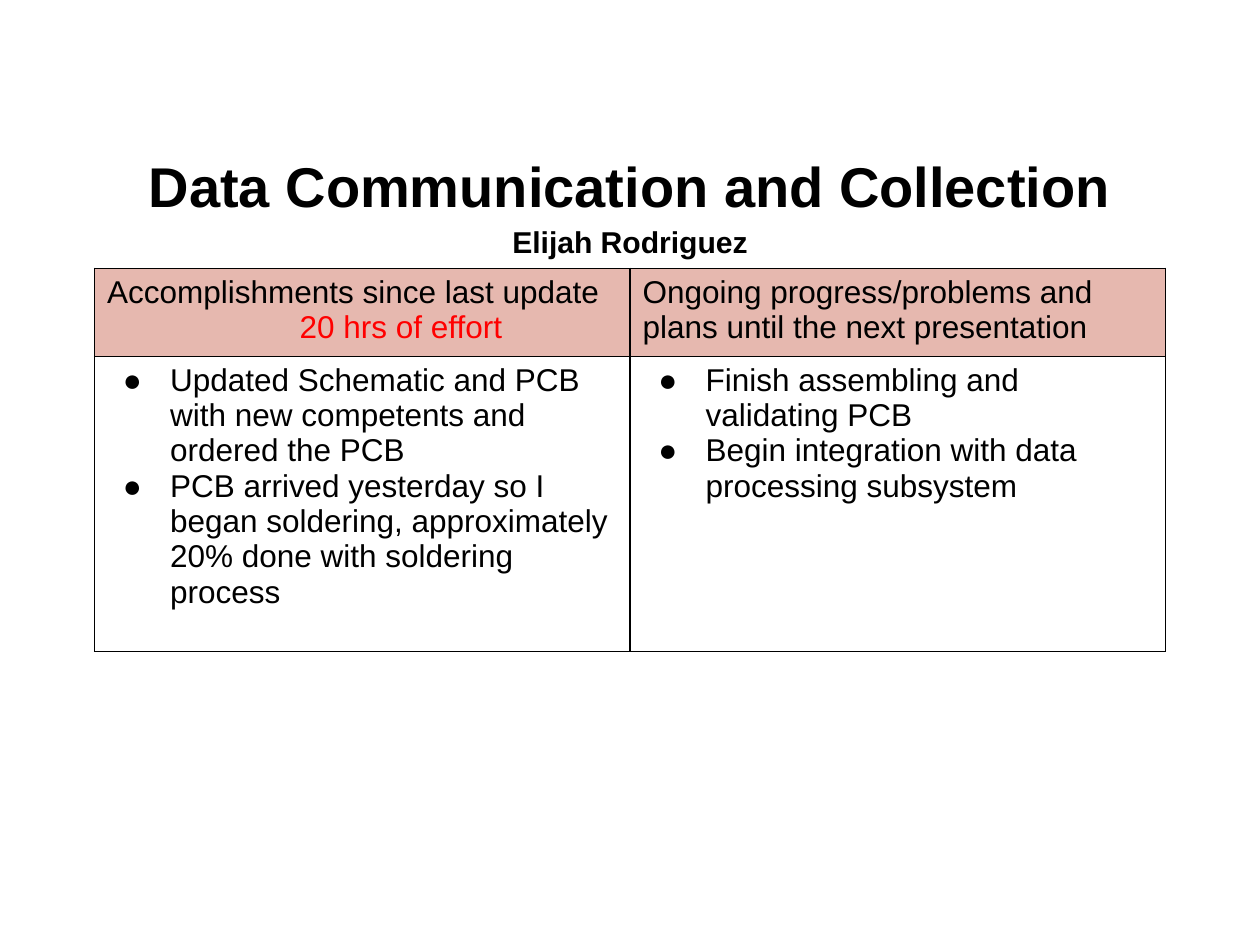
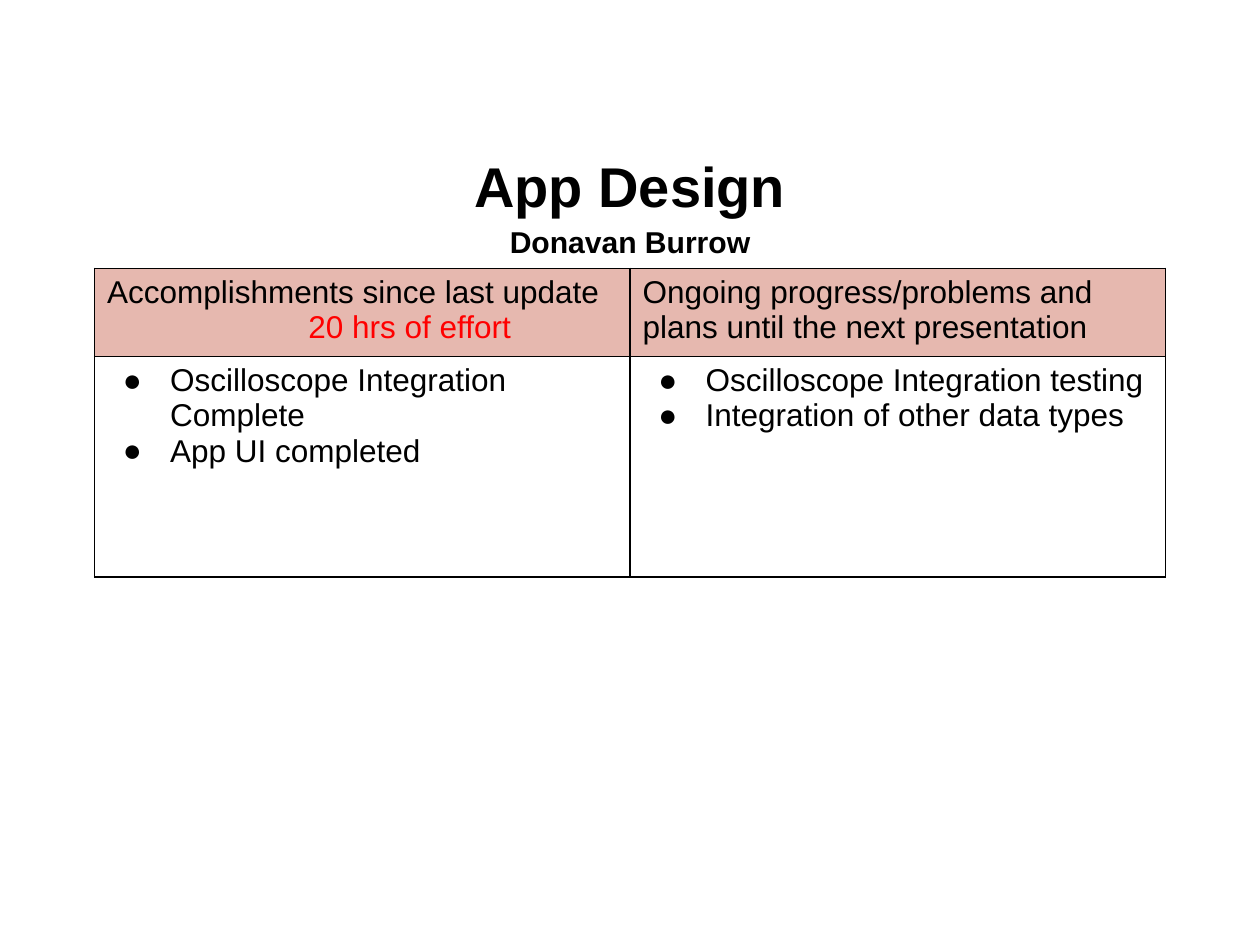
import dataclasses

import lxml.etree
import pptx
import pptx.dml.color
import pptx.enum.text
import pptx.oxml.ns
import pptx.util

Pt = pptx.util.Pt
FONT = "Arial"
BLACK = "000000"
RED = "FF0000"
HEADER_FILL = "E6B8AF"
TABLE_LEFT, TABLE_TOP, COLUMN_WIDTH = 54, 153.36, 306
BODY_SIZE = 18
DONE_HEADING = "Accomplishments since last update"
PLANS_HEADING = "Ongoing progress/problems and plans until the next presentation"


@dataclasses.dataclass(frozen=True)
class Update:
    title: str
    presenter: str
    effort: str
    effort_indent: float
    row_heights: tuple[float, float]
    done: tuple[str, ...]
    plans: tuple[str, ...]


UPDATES = (
    Update(
        title="Data Communication and Collection",
        presenter="Elijah Rodriguez",
        effort="20 hrs of effort",
        effort_indent=110,
        row_heights=(50.4, 168.5),
        done=(
            "Updated Schematic and PCB with new competents and ordered the PCB",
            "PCB arrived yesterday so I began soldering, approximately 20% done "
            "with soldering process",
        ),
        plans=(
            "Finish assembling and validating PCB",
            "Begin integration with data processing subsystem",
        ),
    ),
    Update(
        title="App Design",
        presenter="Donavan Burrow",
        effort="20 hrs of effort",
        effort_indent=115,
        row_heights=(47.5, 126),
        done=("Oscilloscope Integration Complete", "App UI completed"),
        plans=("Oscilloscope Integration testing", "Integration of other data types"),
    ),
)


def rgb(color: str) -> pptx.dml.color.RGBColor:
    return pptx.dml.color.RGBColor.from_string(color)


def add_xml(parent, tag: str, **attributes: str):
    return lxml.etree.SubElement(parent, pptx.oxml.ns.qn(tag), attributes)


def add_text(tf, text: str, *, size: float = BODY_SIZE, color: str = BLACK,
             bold: bool = False, centered: bool = False, spacing: float = 1,
             left: float = 0, hanging: float = 0, bullet: str = "") -> None:
    """Add a paragraph, using the frame's first one if it is still empty."""
    p = tf.paragraphs[0] if not tf.text else tf.add_paragraph()
    p.line_spacing = spacing
    if centered:
        p.alignment = pptx.enum.text.PP_ALIGN.CENTER
    pPr = p._p.get_or_add_pPr()
    pPr.set("marL", str(Pt(left)))
    pPr.set("indent", str(-Pt(hanging)))
    if bullet:
        add_xml(add_xml(pPr, "a:buClr"), "a:srgbClr", val=color)
        add_xml(pPr, "a:buFont", typeface=FONT)
        add_xml(pPr, "a:buChar", char=bullet)
    r = p.add_run()
    r.text = text
    r.font.name = FONT
    r.font.size = Pt(size)
    r.font.bold = bold
    r.font.color.rgb = rgb(color)


def set_margins(target) -> None:
    target.margin_left = target.margin_right = Pt(7.2)
    target.margin_top = target.margin_bottom = Pt(3.6)


def add_title(slide, update: Update) -> None:
    tf = slide.shapes.add_textbox(Pt(36), Pt(82.8), Pt(648), Pt(63.36)).text_frame
    tf.word_wrap = True
    tf.vertical_anchor = pptx.enum.text.MSO_ANCHOR.MIDDLE
    set_margins(tf)
    for text, size in ((update.title, 32), (update.presenter, 17.2)):
        add_text(tf, text, size=size, bold=True, centered=True, spacing=1.15)


def style_cell(cell, fill: str | None) -> None:
    set_margins(cell)
    tcPr = cell._tc.get_or_add_tcPr()
    for side in ("a:lnL", "a:lnR", "a:lnT", "a:lnB"):
        line = add_xml(tcPr, side, w=str(Pt(1)))
        add_xml(add_xml(line, "a:solidFill"), "a:srgbClr", val=BLACK)
    if fill:
        cell.fill.solid()
        cell.fill.fore_color.rgb = rgb(fill)
    else:
        cell.fill.background()


def add_update_table(slide, update: Update) -> None:
    table = slide.shapes.add_table(
        2, 2, Pt(TABLE_LEFT), Pt(TABLE_TOP),
        Pt(2 * COLUMN_WIDTH), Pt(sum(update.row_heights))).table
    table.first_row = table.horz_banding = False
    for row, height in zip(table.rows, update.row_heights):
        row.height = Pt(height)

    columns = ((DONE_HEADING, update.done), (PLANS_HEADING, update.plans))
    for i, (heading, items) in enumerate(columns):
        table.columns[i].width = Pt(COLUMN_WIDTH)
        header, body = table.cell(0, i), table.cell(1, i)
        style_cell(header, HEADER_FILL)
        style_cell(body, None)
        add_text(header.text_frame, heading)
        for item in items:
            add_text(body.text_frame, item, left=36, hanging=27, bullet="●")
    add_text(table.cell(0, 0).text_frame, update.effort, color=RED,
             left=update.effort_indent)


def main() -> None:
    prs = pptx.Presentation()
    prs.slide_width, prs.slide_height = Pt(720), Pt(540)
    for update in UPDATES:
        slide = prs.slides.add_slide(prs.slide_layouts[6])
        add_update_table(slide, update)
        add_title(slide, update)
    prs.save("out.pptx")


if __name__ == "__main__":
    main()
